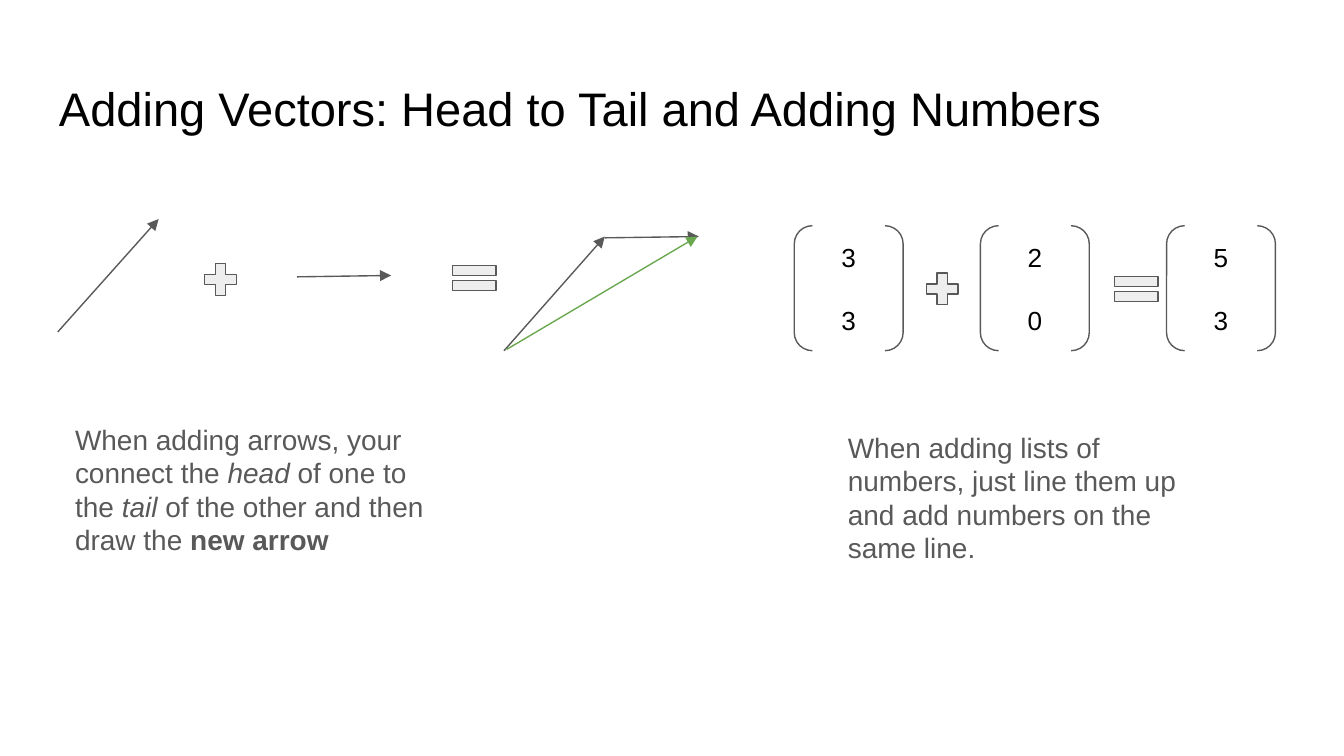
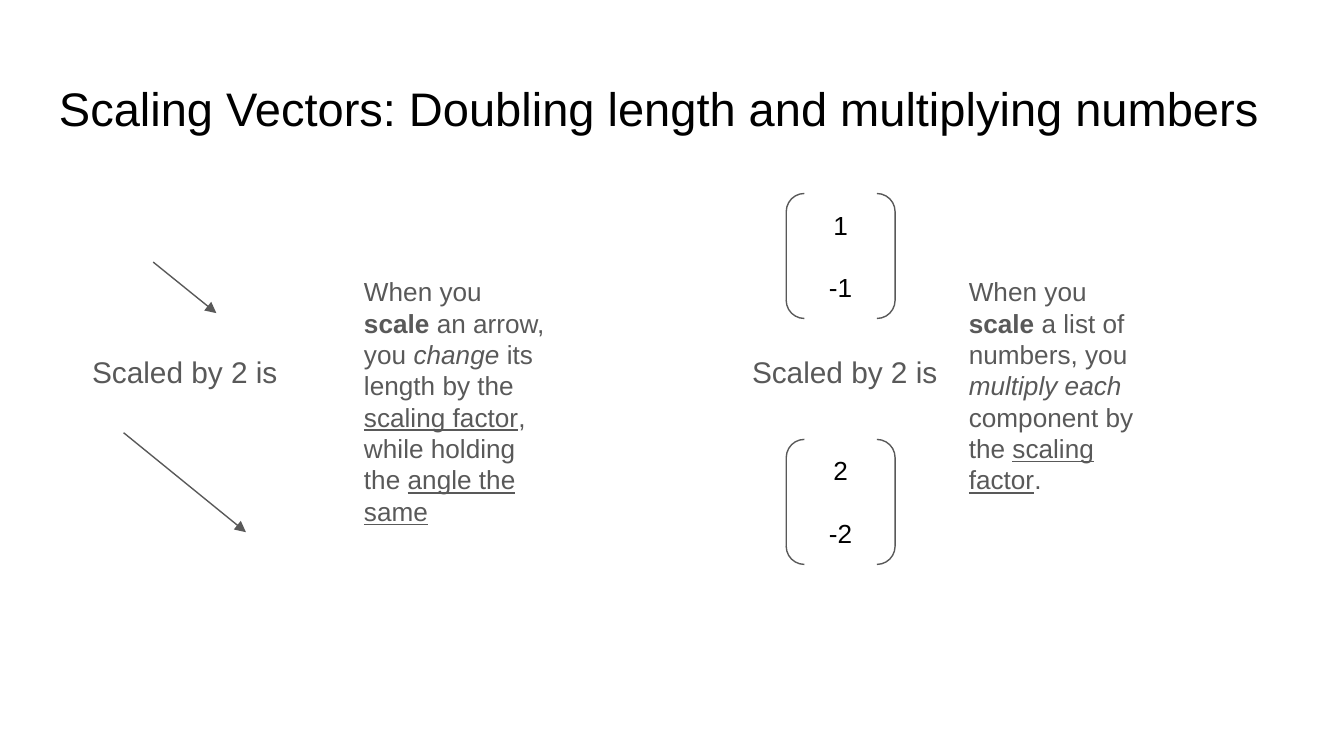
from dataclasses import dataclass
from typing import NamedTuple

from lxml.etree import SubElement
from pptx import Presentation
from pptx.dml.color import RGBColor
from pptx.enum.shapes import MSO_CONNECTOR as Connector, MSO_SHAPE as Preset
from pptx.enum.text import MSO_ANCHOR as Anchor, PP_ALIGN as Align
from pptx.oxml.ns import qn
from pptx.shapes.shapetree import _BaseGroupShapes as Shapes
from pptx.slide import Slide
from pptx.text.text import Font
from pptx.util import Inches, Pt


@dataclass(frozen=True)
class Theme:
    font: str = "Arial"
    ink: RGBColor = RGBColor(0, 0, 0)
    grey: RGBColor = RGBColor(0x59, 0x59, 0x59)
    operator_fill: RGBColor = RGBColor(0xEE, 0xEE, 0xEE)
    sum_green: RGBColor = RGBColor(0x6A, 0xA8, 0x4F)
    title_size: float = 25.2
    label_size: float = 16
    note_size: float = 15
    small_size: float = 14
    row_gap: float = 16.8
    line_width: float = 0.75


THEME = Theme()


class Box(NamedTuple):
    left: float
    top: float
    width: float
    height: float


class Span(NamedTuple):
    text: str
    bold: bool = False
    italic: bool = False
    underline: bool = False


class Vector(NamedTuple):
    tail: tuple[float, float]
    head: tuple[float, float]
    color: RGBColor = THEME.grey


class Operator(NamedTuple):
    preset: Preset
    width: float
    adjustments: tuple[float, ...]


class Note(NamedTuple):
    box: Box
    size: float
    spans: list[Span]
    color: RGBColor = THEME.grey
    align: Align = Align.LEFT


PLUS = Operator(Preset.MATH_PLUS, 0.32, (0.235,))
EQUALS = Operator(Preset.MATH_EQUAL, 0.44, (0.235, 0.118))
OPERATOR_HEIGHT = 0.32
MATRIX_WIDTH, MATRIX_HEIGHT = 0.81, 0.93
SLIDE_WIDTH = 10
SLIDE_HEIGHT = SLIDE_WIDTH * 9 / 16


def inches(box: Box) -> list[Inches]:
    return [Inches(length) for length in box]


def style_font(font: Font, size: float, color: RGBColor) -> None:
    font.name = THEME.font
    font.size = Pt(size)
    font.color.rgb = color


def set_margins(frame) -> None:
    frame.word_wrap = True
    frame.margin_left = frame.margin_right = Inches(0.1)
    frame.margin_top = frame.margin_bottom = Inches(0.1)


def add_note(slide: Slide, note: Note) -> None:
    frame = slide.shapes.add_textbox(*inches(note.box)).text_frame
    set_margins(frame)
    paragraph = frame.paragraphs[0]
    paragraph.alignment = note.align
    for span in note.spans:
        run = paragraph.add_run()
        run.text = span.text
        style_font(run.font, note.size, note.color)
        run.font.bold = span.bold
        run.font.italic = span.italic
        run.font.underline = span.underline


def add_vector(shapes: Shapes, vector: Vector) -> None:
    ends = [Inches(length) for length in (*vector.tail, *vector.head)]
    arrow = shapes.add_connector(Connector.STRAIGHT, *ends)
    arrow.line.color.rgb = vector.color
    arrow.line.width = Pt(THEME.line_width)
    SubElement(arrow.line._get_or_add_ln(), qn("a:tailEnd"), type="triangle")
    SubElement(arrow._element.spPr, qn("a:effectLst"))


def add_outlined(shapes: Shapes, preset: Preset, box: Box):
    shape = shapes.add_shape(preset, *inches(box))
    shape.shadow.inherit = False
    shape.line.color.rgb = THEME.grey
    shape.line.width = Pt(THEME.line_width)
    return shape


def add_operator(shapes: Shapes, operator: Operator, left: float, top: float) -> None:
    box = Box(left, top, operator.width, OPERATOR_HEIGHT)
    sign = add_outlined(shapes, operator.preset, box)
    sign.fill.solid()
    sign.fill.fore_color.rgb = THEME.operator_fill
    for index, value in enumerate(operator.adjustments):
        sign.adjustments[index] = value


def add_matrix(slide: Slide, left: float, top: float, upper: str, lower: str) -> None:
    """Draw a two-component column vector between brackets."""
    box = Box(left, top, MATRIX_WIDTH, MATRIX_HEIGHT)
    brackets = add_outlined(slide.shapes, Preset.DOUBLE_BRACKET, box)
    brackets.fill.background()
    frame = brackets.text_frame
    set_margins(frame)
    frame.vertical_anchor = Anchor.MIDDLE
    frame.text = f"{upper}\n{lower}"
    for component in frame.paragraphs:
        component.alignment = Align.CENTER
        style_font(component.runs[0].font, THEME.small_size, THEME.ink)
    frame.paragraphs[1].space_before = Pt(THEME.row_gap)


def add_titled_slide(deck: Presentation, title: str) -> Slide:
    slide = deck.slides.add_slide(deck.slide_layouts[6])
    title_box = Box(0.34, 0.49, 9.32, 0.63)
    add_note(slide, Note(title_box, THEME.title_size, [Span(title)], THEME.ink))
    return slide


def build_adding(deck: Presentation) -> None:
    slide = add_titled_slide(deck, "Adding Vectors: Head to Tail and Adding Numbers")

    arrow_sum = slide.shapes.add_group_shape().shapes
    add_vector(arrow_sum, Vector((0.43, 2.47), (1.18, 1.63)))
    add_vector(arrow_sum, Vector((2.21, 2.06), (2.91, 2.05)))
    add_operator(arrow_sum, PLUS, 1.48, 1.92)
    add_operator(arrow_sum, EQUALS, 3.31, 1.91)
    for vector in (
        Vector((3.75, 2.61), (4.5, 1.76)),
        Vector((4.5, 1.77), (5.2, 1.76)),
        Vector((3.77, 2.6), (5.19, 1.76), THEME.sum_green),
    ):
        add_vector(arrow_sum, vector)

    first_left, last_left, matrix_top = 5.91, 8.68, 1.68
    pitch = (last_left - first_left) / 2
    terms = [("3", "3", PLUS), ("2", "0", EQUALS), ("5", "3", None)]
    for index, (upper, lower, operator) in enumerate(terms):
        left = first_left + index * pitch
        add_matrix(slide, left, matrix_top, upper, lower)
        if operator:
            add_operator(slide.shapes, operator, left + 0.94, 1.99)

    add_note(slide, Note(Box(0.46, 3.04, 2.99, 1.22), THEME.note_size, [
        Span("When adding arrows, your connect the "),
        Span("head", italic=True),
        Span(" of one to the "),
        Span("tail", italic=True),
        Span(" of the other and then draw the "),
        Span("new arrow", bold=True),
    ]))
    add_note(slide, Note(Box(6.21, 3.1, 2.99, 1.22), THEME.note_size, [
        Span("When adding lists of numbers, just line them up "
             "and add numbers on the same line."),
    ]))


def build_scaling(deck: Presentation) -> None:
    slide = add_titled_slide(
        deck, "Scaling Vectors: Doubling length and multiplying numbers")

    add_vector(slide.shapes, Vector((1.14, 1.95), (1.61, 2.33)))
    add_vector(slide.shapes, Vector((0.92, 3.22), (1.83, 3.96)))
    add_matrix(slide, 5.85, 1.44, "1", "-1")
    add_matrix(slide, 5.85, 3.27, "2", "-2")

    for left in (0.48, 5.39):
        add_note(slide, Note(Box(left, 2.53, 1.79, 0.45), THEME.label_size,
                             [Span("Scaled by 2 is")], align=Align.CENTER))

    arrow_rule = [
        Span(" an arrow, you "),
        Span("change ", italic=True),
        Span("its length by the "),
        Span("scaling factor", underline=True),
        Span(", while holding the "),
        Span("angle the same", underline=True),
    ]
    number_rule = [
        Span(" a list of numbers, you "),
        Span("multiply each", italic=True),
        Span(" component by the "),
        Span("scaling factor", underline=True),
        Span("."),
    ]
    for left, rule in ((2.61, arrow_rule), (7.11, number_rule)):
        opening = [Span("When you "), Span("scale", bold=True)]
        add_note(slide, Note(Box(left, 1.95, 1.61, 2.38), THEME.small_size,
                             opening + rule))


def main() -> None:
    deck = Presentation()
    deck.slide_width, deck.slide_height = Inches(SLIDE_WIDTH), Inches(SLIDE_HEIGHT)
    build_adding(deck)
    build_scaling(deck)
    deck.save("out.pptx")


if __name__ == "__main__":
    main()
